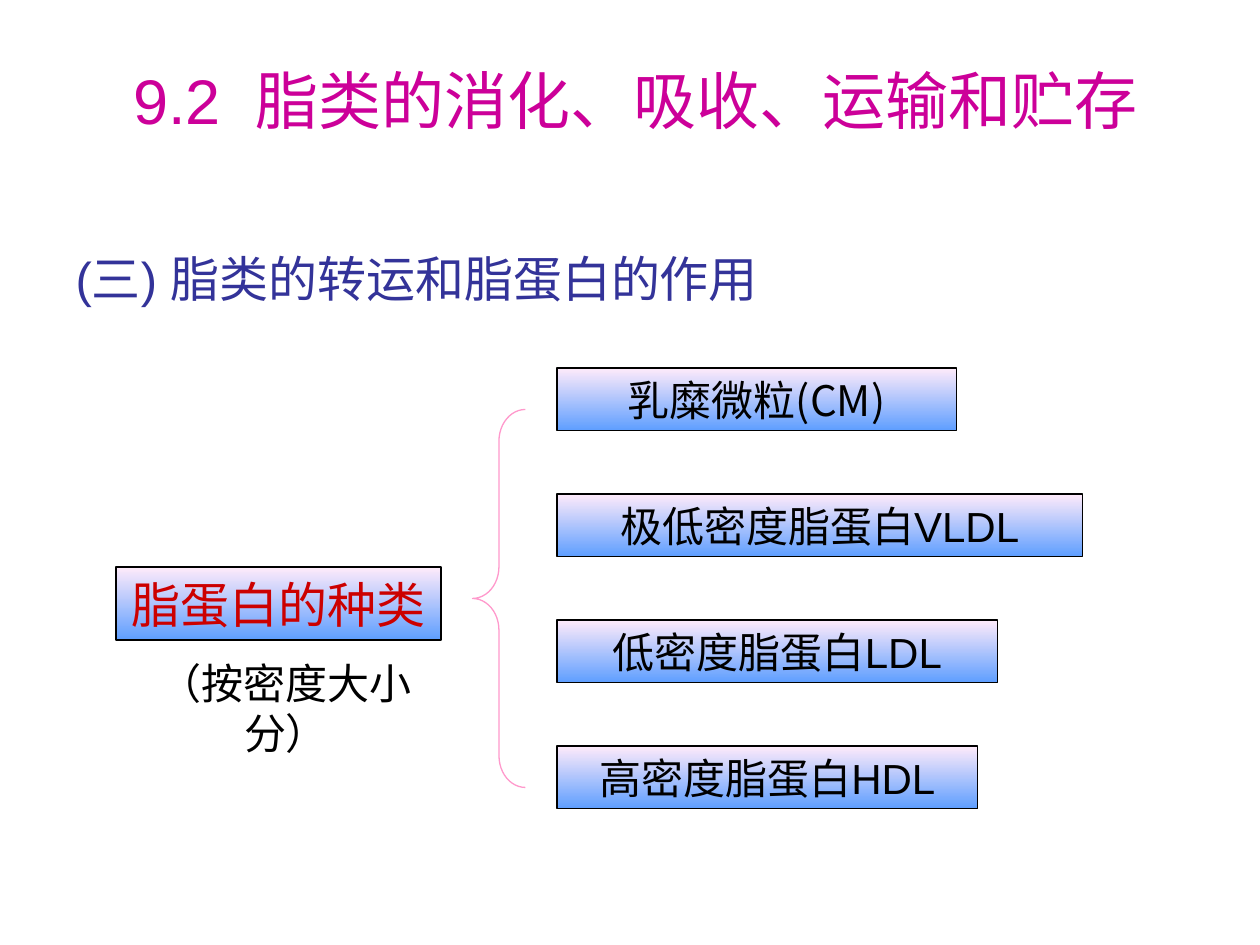
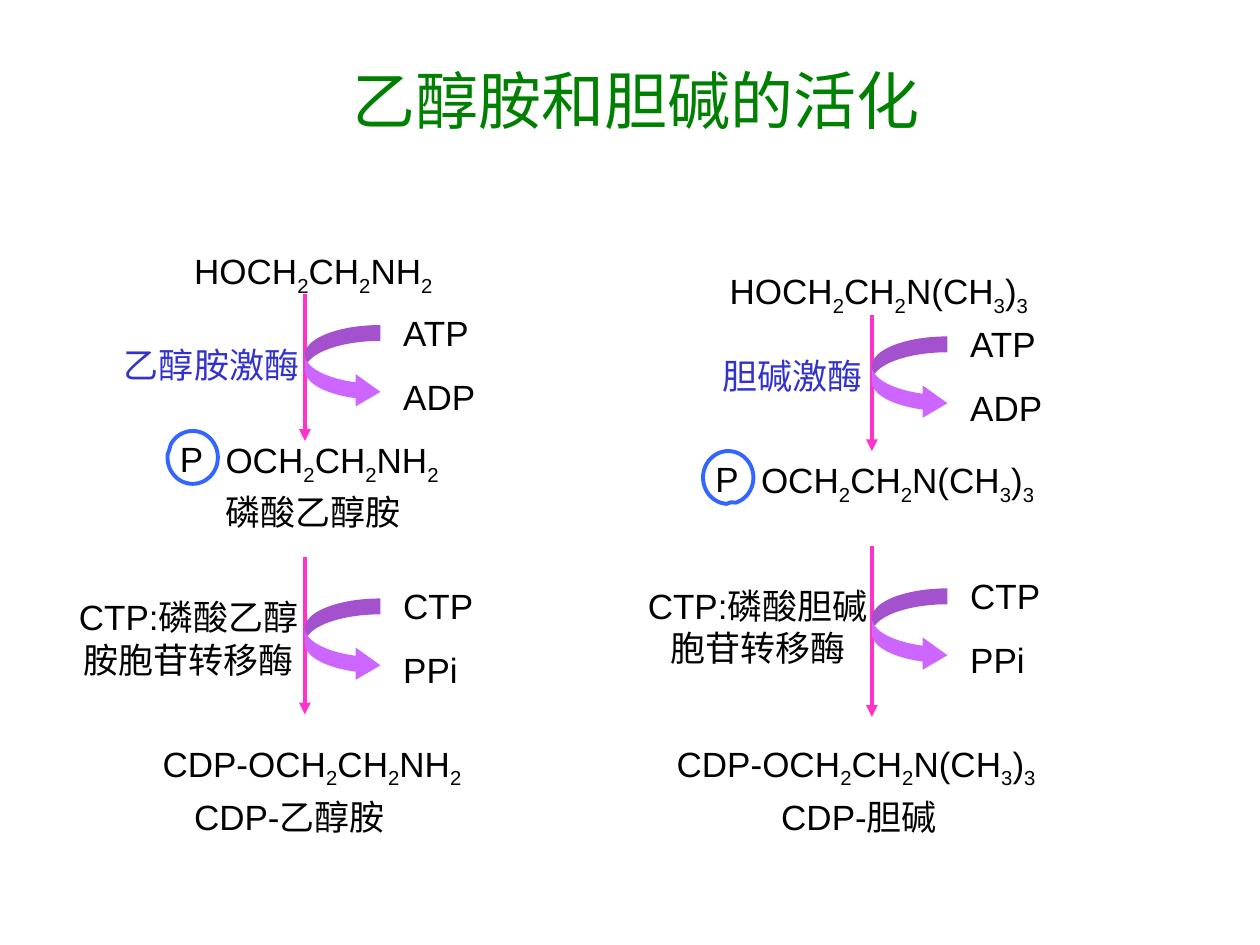
from itertools import groupby

from lxml.etree import SubElement as Sub
from pptx import Presentation
from pptx.dml.color import RGBColor
from pptx.enum.shapes import MSO_CONNECTOR as Link, MSO_SHAPE as Kind
from pptx.enum.text import MSO_ANCHOR as Anchor, MSO_AUTO_SIZE as Fit, PP_ALIGN as Align
from pptx.oxml.ns import qn
from pptx.util import Inches, Pt

BLACK = RGBColor(0x00, 0x00, 0x00)
PLUM = RGBColor(0xCC, 0x00, 0x99)
GREEN = RGBColor(0x00, 0x80, 0x00)
NAVY = RGBColor(0x33, 0x33, 0x99)
RED = RGBColor(0xCC, 0x00, 0x00)
INDIGO = RGBColor(0x33, 0x33, 0xCC)
BLUE = RGBColor(0x33, 0x66, 0xFF)
ROSE = RGBColor(0xFF, 0x99, 0xCC)
PINK = RGBColor(0xFF, 0x33, 0xCC)
VIOLET = RGBColor(0xCC, 0x66, 0xFF)
PALE = RGBColor(0xFF, 0xEB, 0xFA)
SKY = RGBColor(0x5E, 0x9E, 0xFF)

HAN = "Noto Sans CJK SC"
SUBS = {"mark": str.isdigit, "attr": ("baseline", "-25000")}
WIDE = {"mark": str.isspace, "attr": ("spc", "1000")}


def put(frame, text, size=20, color=BLACK, font="Arial", align=Align.LEFT,
        gap=12.5, mark=None, attr=None):
    """Write lines of text; runs picked by mark get the extra attribute."""
    for i, line in enumerate(text.split("\n")):
        para = frame.paragraphs[0] if i == 0 else frame.add_paragraph()
        para.alignment = align
        para.space_before = Pt(gap if i else 0)
        for hit, chars in groupby(line, mark or (lambda char: False)):
            run = para.add_run()
            run.text = "".join(chars)
            run.font.size = Pt(size)
            run.font.name = font
            run.font.color.rgb = color
            props = run._r.get_or_add_rPr()
            Sub(props, qn("a:ea")).set("typeface", HAN)
            if hit:
                props.set(*attr)


def move(shape, box):
    shape.left, shape.top, shape.width, shape.height = map(Inches, box)


class Deck:
    def __init__(self):
        self.prs = Presentation()
        self.prs.slide_width = Inches(10)
        self.prs.slide_height = Inches(7.5)
        self.slide = None

    def start(self, layout, title, color, **form):
        self.slide = self.prs.slides.add_slide(self.prs.slide_layouts[layout])
        head = self.slide.shapes.title
        move(head, (0.42, 0.33, 9.25, 0.92))
        frame = head.text_frame
        frame.auto_size = Fit.NONE
        frame.vertical_anchor = Anchor.MIDDLE
        put(frame, title, size=36, color=color, align=Align.CENTER, **form)

    def body(self, text):
        hold = self.slide.placeholders[1]
        move(hold, (0.5, 1.92, 9, 5))
        frame = hold.text_frame
        frame.auto_size = Fit.NONE
        props = frame.paragraphs[0]._p.get_or_add_pPr()
        props.set("marL", str(Inches(0.38)))
        props.set("indent", str(-Inches(0.38)))
        Sub(props, qn("a:buNone"))
        put(frame, text, size=28, color=NAVY)

    def text(self, box, words, wrap=True, pad=0.12, **form):
        shape = self.slide.shapes.add_textbox(*map(Inches, box))
        frame = shape.text_frame
        frame.word_wrap = wrap
        frame.auto_size = Fit.SHAPE_TO_FIT_TEXT
        frame.margin_left = frame.margin_right = Inches(pad)
        frame.margin_top = frame.margin_bottom = Inches(pad / 2)
        put(frame, words, **form)

    def shape(self, kind, box, line=None, width=0.75, fill=None, adj=()):
        shape = self.slide.shapes.add_shape(kind, *map(Inches, box))
        shape.shadow.inherit = False
        for i, value in enumerate(adj):
            shape.adjustments[i] = value
        if fill is None:
            shape.fill.background()
        else:
            shape.fill.solid()
            shape.fill.fore_color.rgb = fill
        if line is None:
            shape.line.fill.background()
        else:
            shape.line.color.rgb = line
            shape.line.width = Pt(width)
        return shape

    def panel(self, box, words, **form):
        shape = self.shape(Kind.RECTANGLE, box, line=BLACK)
        shape.fill.gradient()
        shape.fill.gradient_angle = 270
        for stop, color in zip(shape.fill.gradient_stops, (PALE, SKY)):
            stop.color.rgb = color
        frame = shape.text_frame
        frame.word_wrap = False
        frame.vertical_anchor = Anchor.MIDDLE
        put(frame, words, align=Align.CENTER, **form)

    def arrow(self, x, top, end):
        line = self.slide.shapes.add_connector(
            Link.STRAIGHT, Inches(x), Inches(top), Inches(x), Inches(end))
        line.line.color.rgb = PINK
        line.line.width = Pt(2.25)
        props = line._element.spPr
        Sub(props.find(qn("a:ln")), qn("a:tailEnd")).set("type", "triangle")
        Sub(props, qn("a:effectLst"))

    def step(self, x, top, end, bend, pair, enzyme, box, color=BLACK):
        """One reaction: arrow, enzyme at left, cofactor pair at right."""
        self.arrow(x, top, end)
        self.text(box, enzyme, color=color, align=Align.CENTER)
        self.shape(Kind.CURVED_RIGHT_ARROW, (x, bend, 0.6, 0.66),
                   fill=VIOLET, adj=(0.21, 0.43, 0.33))
        self.text((x + 0.66, bend - 0.17, 0.9, 0.96), pair)

    def phos(self, x, y, adj):
        self.shape(Kind.OVAL_CALLOUT, (x, y, 0.4, 0.42),
                   line=BLUE, width=2.25, adj=adj)
        self.text((x, y, 0.5, 0.44), "P", pad=0.1)


def kinds(deck):
    deck.start(1, "9.2 脂类的消化、吸收、运输和贮存", PLUM, **WIDE)
    deck.body("(三) 脂类的转运和脂蛋白的作用")
    deck.shape(Kind.LEFT_BRACE, (3.75, 3.25, 0.42, 3), line=ROSE, adj=(0.6, 0.5))

    # Lipoprotein classes
    rows = [("乳糜微粒(CM)", 3.17, HAN), ("极低密度脂蛋白VLDL", 4.17, "Arial"),
            ("低密度脂蛋白LDL", 3.5, "Arial"), ("高密度脂蛋白HDL", 3.34, "Arial")]
    for i, (name, width, font) in enumerate(rows):
        deck.panel((4.42, 2.92 + i, width, 0.5), name, size=24, font=font)

    # Root of the brace
    deck.panel((0.92, 4.5, 2.58, 0.58), "脂蛋白的种类", size=28, color=RED)
    deck.text((0.84, 5.17, 2.86, 0.5), "（按密度大小分）", wrap=False, pad=0.1,
              size=24, font="Times New Roman", align=Align.CENTER)


def routes(deck):
    deck.start(5, "乙醇胺和胆碱的活化", GREEN)

    # Ethanolamine route
    amine = "CH2CH2NH2"
    deck.text((1.42, 1.92, 2.5, 0.5), "HO" + amine, **SUBS)
    deck.step(2.42, 2.33, 3.5, 2.58, "ATP\nADP", "乙醇胺激酶",
              (0.83, 2.67, 1.7, 0.45), INDIGO)
    deck.phos(1.33, 3.42, (-0.461, -0.154))
    deck.text((1.67, 3.42, 2.5, 0.5), "O" + amine, **SUBS)
    deck.text((1.67, 3.83, 1.75, 0.45), "磷酸乙醇胺")
    deck.step(2.42, 4.42, 5.67, 4.75, "CTP\nPPi", "CTP:磷酸乙醇胺胞苷转移酶",
              (0.5, 4.67, 2, 1.12))
    deck.text((1.17, 5.83, 2.9, 0.5), "CDP-O" + amine, **SUBS)
    deck.text((1.42, 6.25, 2.3, 0.45), "CDP-乙醇胺")

    # Choline route
    base = "CH2CH2N(CH3)3"
    deck.text((5.67, 2.08, 2.83, 0.5), "HO" + base, **SUBS)
    deck.step(6.92, 2.5, 3.58, 2.67, "ATP\nADP", "胆碱激酶",
              (5.58, 2.75, 1.42, 0.45), INDIGO)
    deck.phos(5.58, 3.58, (0.057, 0.467))
    deck.text((5.92, 3.58, 2.5, 0.5), "O" + base, **SUBS)
    deck.step(6.92, 4.33, 5.69, 4.67, "CTP\nPPi", "CTP:磷酸胆碱胞苷转移酶",
              (5, 4.58, 2.03, 0.78))
    deck.text((5.25, 5.83, 3.25, 0.5), "CDP-O" + base, **SUBS)
    deck.text((6.08, 6.25, 1.58, 0.45), "CDP-胆碱")


def main():
    deck = Deck()
    kinds(deck)
    routes(deck)
    deck.prs.save("out.pptx")


if __name__ == "__main__":
    main()
